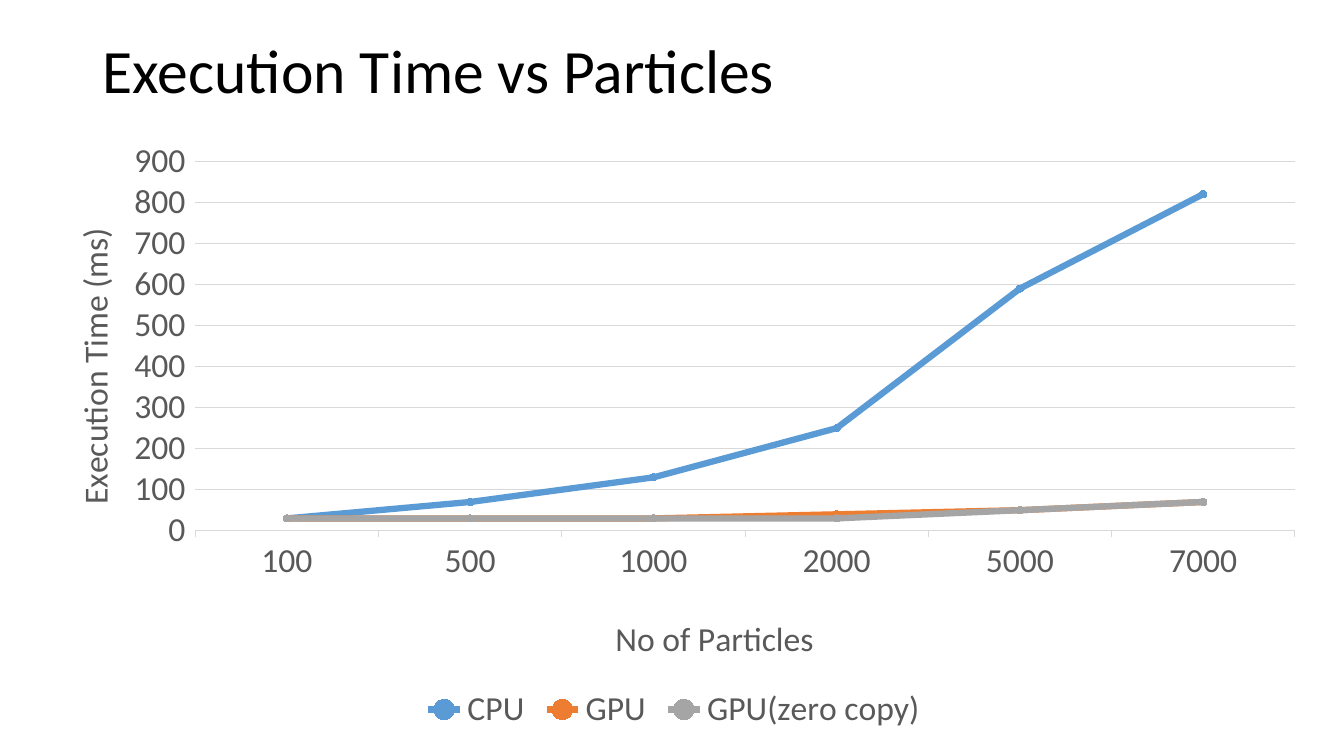
from lxml import etree
from pptx import Presentation
from pptx.chart.data import CategoryChartData
from pptx.dml.color import RGBColor
from pptx.enum.chart import XL_CHART_TYPE, XL_LEGEND_POSITION, XL_MARKER_STYLE, XL_TICK_MARK
from pptx.enum.text import MSO_ANCHOR, PP_ALIGN
from pptx.oxml import parse_xml
from pptx.oxml.ns import nsdecls, qn
from pptx.util import Inches, Pt

LINE_MARKERS = XL_CHART_TYPE.LINE_MARKERS
BOTTOM = XL_LEGEND_POSITION.BOTTOM
CIRCLE = XL_MARKER_STYLE.CIRCLE
OUTSIDE = XL_TICK_MARK.OUTSIDE
MIDDLE = MSO_ANCHOR.MIDDLE
LEFT = PP_ALIGN.LEFT

FONT = "Calibri"
BLACK, GREY, RULE = "000000", "595959", "D9D9D9"
TITLE_BOX = (0.92, 0, 11.5, 1.45)
CHART_BOX = (0.27, 1.3, 12.83, 6.01)
PARTICLES = ["100", "500", "1000", "2000", "5000", "7000"]
TIMES = {
    "CPU": ("5B9BD5", [30, 70, 130, 250, 590, 820]),
    "GPU": ("ED7D31", [30, 30, 30, 40, 50, 70]),
    "GPU(zero copy)": ("A5A5A5", [30, 30, 30, 30, 50, 70]),
}


def rgb(value):
    """Turn a hex string into a colour."""
    return RGBColor.from_string(value)


def style_font(font, size, colour):
    """Set face, size, weight and colour of a font."""
    font.name, font.size, font.bold = FONT, Pt(size), False
    font.color.rgb = rgb(colour)


def style_line(line, width, colour):
    """Set width and colour of a line."""
    line.width = Pt(width)
    line.color.rgb = rgb(colour)


def manual_layout(left, top, width=None, height=None, inner=False):
    """Build a chart layout from shares of the chart area."""
    layout = parse_xml(f"<c:layout {nsdecls('c')}><c:manualLayout/></c:layout>")
    settings = [("layoutTarget", "inner")] if inner else []
    settings += [("xMode", "edge"), ("yMode", "edge"), ("x", left), ("y", top)]
    if width is not None:
        settings += [("w", width), ("h", height)]
    for name, value in settings:
        etree.SubElement(layout[0], qn(f"c:{name}")).set("val", str(value))
    return layout


def set_layout(parent, layout, index):
    """Replace the layout of a chart part."""
    for old in parent.findall(qn("c:layout")):
        parent.remove(old)
    parent.insert(index, layout)


def add_title(page, box, text):
    """Fill and place the slide title."""
    title = page.shapes.title
    title.left, title.top, title.width, title.height = map(Inches, box)
    frame = title.text_frame
    frame.vertical_anchor = MIDDLE
    para = frame.paragraphs[0]
    para.alignment, para.line_spacing = LEFT, 0.9
    span = para.add_run()
    span.text = text
    style_font(span.font, 44, BLACK)


def style_axis(axis, text, left, top):
    """Format an axis and place its title."""
    style_font(axis.tick_labels.font, 24, GREY)
    axis.major_tick_mark = OUTSIDE
    title = axis.axis_title
    span = title.text_frame.paragraphs[0].add_run()
    span.text = text
    style_font(span.font, 24, GREY)
    set_layout(title._element, manual_layout(left, top), 1)


def add_time_chart(page, box):
    """Draw execution time against particle count."""
    data = CategoryChartData()
    data.categories = PARTICLES
    for name, (_, values) in TIMES.items():
        data.add_series(name, values)
    chart = page.shapes.add_chart(LINE_MARKERS, *map(Inches, box), data).chart
    chart.has_title = False
    style_font(chart.font, 24, GREY)
    chart.has_legend = True
    chart.legend.position = BOTTOM
    chart.legend.include_in_layout = False
    style_font(chart.legend.font, 24, GREY)

    style_axis(chart.category_axis, "No of Particles", 0.45, 0.79)
    style_line(chart.category_axis.format.line, 0.75, RULE)
    times = chart.value_axis
    style_axis(times, "Execution Time (ms)", 0.03, 0.15)
    times.minimum_scale, times.maximum_scale, times.major_unit = 0, 900, 100
    times.format.line.fill.background()
    style_line(times.major_gridlines.format.line, 0.75, RULE)

    plot = chart.plots[0]
    plot.vary_by_categories = False
    for series, (colour, _) in zip(plot.series, TIMES.values()):
        series.smooth = False
        style_line(series.format.line, 4.5, colour)
        marker = series.marker
        marker.style, marker.size = CIRCLE, 5
        marker.format.fill.solid()
        marker.format.fill.fore_color.rgb = rgb(colour)
        style_line(marker.format.line, 0.75, colour)
    area = chart._chartSpace.chart.plotArea
    set_layout(area, manual_layout(0.13, 0.05, 0.85, 0.61, inner=True), 0)


def main():
    """Build and save the deck."""
    deck = Presentation()
    deck.slide_width, deck.slide_height = Inches(13.33), Inches(7.5)
    page = deck.slides.add_slide(deck.slide_layouts[5])
    add_title(page, TITLE_BOX, "Execution Time vs Particles")
    add_time_chart(page, CHART_BOX)
    deck.save("out.pptx")


if __name__ == "__main__":
    main()
